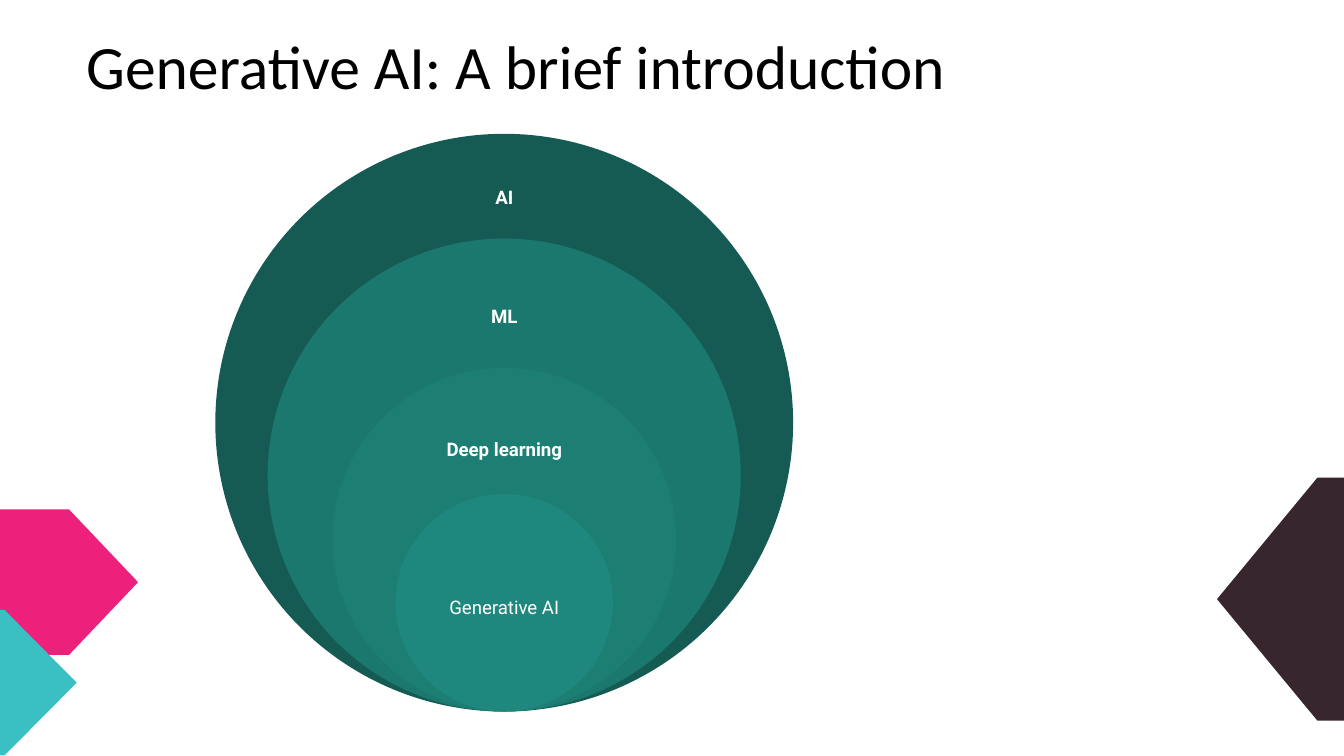
from dataclasses import dataclass

from pptx import Presentation
from pptx import util as u
from pptx.dml.color import RGBColor
from pptx.enum import shapes, text

TITLE = "Generative AI: A brief introduction"

# label, diameter, label centre, label width, fill, bold
RINGS = [
    ("AI", 10.92, 3.72, 5.36, "155B54", True),
    ("ML", 8.94, 5.97, 4.4, "1B786E", True),
    ("Deep learning", 6.5, 8.48, 4.12, "1D7E74", True),
    ("Generative AI", 4.11, 11.47, 3.43, "1F887E", False),
]

# left, top, width, height, point, rotation, fill
ARROWS = [
    (0, 9.63, 2.61, 2.75, 0.5, 0, "ED217C"),
    (0, 11.53, 1.45, 2.75, 0.94, 0, "3AC0C3"),
    (23, 9.03, 2.43, 4.59, 0.78, 180, "37262D"),
]


@dataclass(frozen=True)
class Theme:
    title_font: str = "Calibri"
    label_font: str = "Roboto"
    title_size: float = 33
    label_size: float = 10
    title_color: str = "000000"
    label_color: str = "FFFFFF"


THEME = Theme()
RING_CENTER, RING_BOTTOM = 9.53, 13.45
LABEL_HEIGHT, LABEL_INSET = 1.5, 0.25


def box(left, top, width, height):
    return [u.Cm(length) for length in (left, top, width, height)]


def add_solid(container, preset, place, fill):
    solid = container.add_shape(preset, *place)
    solid.shadow.inherit = False
    solid.fill.solid()
    solid.fill.fore_color.rgb = RGBColor.from_string(fill)
    solid.line.fill.background()
    return solid


def write(frame, words, font, size, color, align, inset_x, inset_y, bold=False):
    frame.word_wrap = True
    frame.auto_size = text.MSO_AUTO_SIZE.NONE
    frame.vertical_anchor = text.MSO_ANCHOR.MIDDLE
    frame.margin_left = frame.margin_right = u.Cm(inset_x)
    frame.margin_top = frame.margin_bottom = u.Cm(inset_y)
    line = frame.paragraphs[0]
    line.alignment = align
    run = line.add_run()
    run.text = words
    run.font.name = font
    run.font.size = u.Pt(size)
    run.font.bold = bold
    run.font.color.rgb = RGBColor.from_string(color)
    return line


def add_arrow(slide, left, top, width, height, point, rotation, fill):
    arrow = add_solid(slide.shapes, shapes.MSO_SHAPE.PENTAGON,
                      box(left, top, width, height), fill)
    arrow.adjustments[0] = point
    arrow.rotation = rotation


def add_title(slide):
    title = slide.shapes.title
    title.left, title.top, title.width, title.height = box(1.45, 0.3, 21.9, 2.03)
    line = write(title.text_frame, TITLE, THEME.title_font, THEME.title_size,
                 THEME.title_color, text.PP_ALIGN.LEFT, 0.18, 0.1)
    line.line_spacing = 0.9


def add_ring(slide, words, diameter, label_middle, label_width, fill, bold):
    ring = slide.shapes.add_group_shape().shapes
    add_solid(ring, shapes.MSO_SHAPE.OVAL,
              box(RING_CENTER - diameter / 2, RING_BOTTOM - diameter,
                  diameter, diameter), fill)
    label = ring.add_textbox(*box(RING_CENTER - label_width / 2,
                                  label_middle - LABEL_HEIGHT / 2,
                                  label_width, LABEL_HEIGHT))
    write(label.text_frame, words, THEME.label_font, THEME.label_size,
          THEME.label_color, text.PP_ALIGN.CENTER, LABEL_INSET, LABEL_INSET, bold)


def main():
    deck = Presentation()
    deck.slide_width, deck.slide_height = u.Cm(25.4), u.Cm(14.29)
    slide = deck.slides.add_slide(deck.slide_layouts[5])
    for arrow in ARROWS:
        add_arrow(slide, *arrow)
    add_title(slide)
    for ring in RINGS:
        add_ring(slide, *ring)
    deck.save("out.pptx")


if __name__ == "__main__":
    main()
